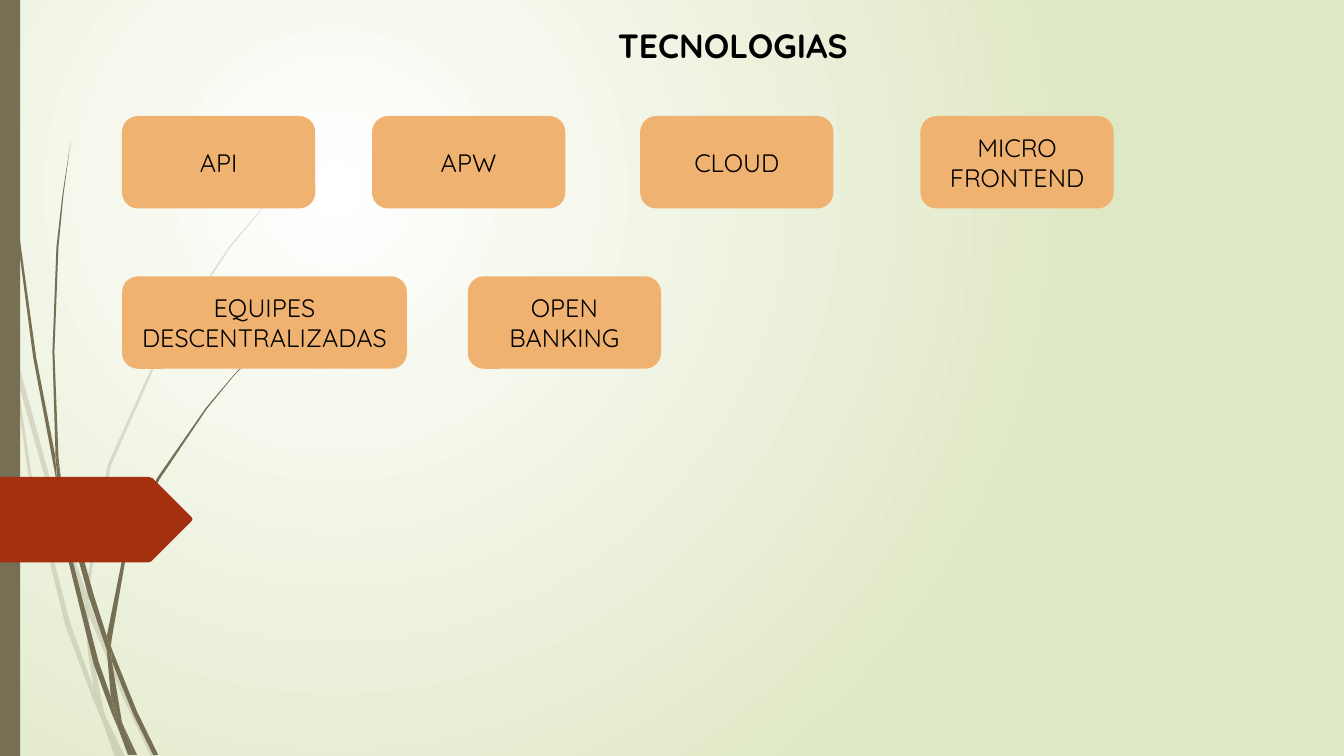
"""Build the TECNOLOGIAS slide: six topic boxes beside a grass ornament."""
from lxml import etree
from pptx import Presentation
from pptx.dml.color import RGBColor
from pptx.enum.shapes import MSO_SHAPE as SHAPE
from pptx.enum.text import MSO_ANCHOR as ANCHOR, MSO_AUTO_SIZE as AUTO, PP_ALIGN as ALIGN
from pptx.oxml.ns import qn
from pptx.util import Pt

COLORS = {"white": "FFFFFF", "sage": "DFE8C4", "olive": "766F54",
          "red": "A53010", "orange": "F0B270", "black": "000000"}
FONT = "Quicksand"
TITLE = "TECNOLOGIAS"
BOX_W, WIDE_W, BOX_H = 136.8, 202.3, 64.8
ROWS = [
    (83.5, [(87.8, BOX_W, "API"), (266.4, BOX_W, "APW"),
            (457.9, BOX_W, "CLOUD"), (658.1, BOX_W, "MICRO\nFRONTEND")]),
    (198, [(87.8, WIDE_W, "EQUIPES\nDESCENTRALIZADAS"), (334.8, BOX_W, "OPEN\nBANKING")]),
]
GRID = 0.72
PALE_BLADES = [
    "11 350, 9 322, 0 282, 0 299, 10 344",
    "58 522, 84 599, 85 586, 62 520, 14 345, 17 376",
    "92 607, 88 596, 88 610, 123 694, 150 751, 155 751, 127 692",
    "119 751, 124 751, 105 711",
    "93 683, 70 619, 31 469, 17 376, 11 350, 28 470, 65 621, 92 693, 101 714, 99 707",
    "84 599, 87 646, 93 683, 96 692, 105 711, 103 706, 91 646, 88 610, 88 608",
    "88 584, 110 462, 160 349, 229 245, 268 198, 290 175, 312 154, 312 153, 289 175, 268 197,"
    "228 244, 158 348, 107 461, 85 584, 85 586, 88 596",
    "101 714, 114 751, 119 751",
    "88 608, 88 610, 88 596, 85 586, 84 599",
    "96 692, 93 683, 99 707, 101 714, 119 751, 105 711",
]
DARK_BLADES = [
    "7 110, 17 233, 33 355, 56 477, 57 481, 55 457, 55 453, 36 355, 19 232, 8 109, 5 48, 4 0, 3 0, 4 48",
    "88 592, 106 645, 106 633, 106 631, 93 590, 60 472, 64 505",
    "113 649, 110 641, 111 656, 132 708, 152 749, 157 749, 136 706",
    "110 691, 98 657, 72 556, 64 505, 57 477, 68 557, 93 659, 111 708, 117 722, 116 717",
    "60 472, 58 453, 54 349, 58 245, 63 193, 70 141, 62 193, 56 245, 52 349, 55 449",
    "133 749, 136 749, 122 719",
    "57 477, 64 505, 60 472, 55 449, 55 453",
    "111 633, 125 552, 158 476, 205 406, 231 374, 245 359, 261 344, 260 344, 245 358, 231 373,"
    "204 405, 156 474, 122 551, 106 631, 110 641",
    "117 722, 127 749, 131 749",
    "106 645, 110 691, 116 706, 122 719, 121 716, 111 656, 109 651",
    "106 645, 109 651, 111 656, 110 641, 106 631, 106 633",
    "116 706, 110 691, 116 717, 117 722, 130 749, 133 749, 122 719",
]
ARROW = "147 558, 150 557, 151 556, 190 517, 191 515, 190 513, 151 474, 150 474, 147 473, 0 473, 0 558"


def rgb(name):
    return RGBColor.from_string(COLORS[name])


def paint(sp, color, alpha=None):
    sp.shadow.inherit = False
    sp.fill.solid()
    sp.fill.fore_color.rgb = rgb(color)
    sp.line.fill.background()
    if alpha:
        clr = sp.element.spPr.find(qn("a:solidFill"))[0]
        etree.SubElement(clr, qn("a:alpha")).set("val", str(alpha * 1000))


def add_outline(shapes, outline, color, alpha=None):
    start, *rest = [tuple(Pt(int(n) * GRID) for n in point.split()) for point in outline.split(",")]
    builder = shapes.build_freeform(*start)
    builder.add_line_segments(rest, close=True)
    paint(builder.convert_to_shape(), color, alpha)


def write(tf, text, align, **font):
    tf.text = text
    for p in tf.paragraphs:
        p.alignment = align
        for r in p.runs:
            r.font.color.rgb = rgb("black")
            for name, value in {"name": FONT, **font}.items():
                setattr(r.font, name, value)


prs = Presentation()
prs.slide_width, prs.slide_height = Pt(960), Pt(540)
slide = prs.slides.add_slide(prs.slide_layouts[6])

fill = slide.background.fill
fill.gradient()
for stop, position, color in zip(fill.gradient_stops, (0, 1), ("white", "sage")):
    stop.position, stop.color.rgb = position, rgb(color)
lin = next(slide.element.iter(qn("a:lin")))
glow = etree.SubElement(lin.getparent(), qn("a:path"), path="circle")
etree.SubElement(glow, qn("a:fillToRect"), l="50000", t="50000", r="100000", b="100000")
lin.getparent().replace(lin, glow)

for blades, alpha in ((PALE_BLADES, 20), (DARK_BLADES, None)):
    group = slide.shapes.add_group_shape()
    for blade in blades:
        add_outline(group.shapes, blade, "olive", alpha)
paint(slide.shapes.add_shape(SHAPE.RECTANGLE, 0, 0, Pt(14.4), Pt(540)), "olive")
add_outline(slide.shapes, ARROW, "red")

tf = slide.shapes.add_textbox(Pt(434.2), Pt(14.4), Pt(184.3), Pt(36)).text_frame
tf.word_wrap, tf.auto_size = True, AUTO.SHAPE_TO_FIT_TEXT
write(tf, TITLE, ALIGN.LEFT, size=Pt(24), bold=True)

for top, boxes in ROWS:
    for left, width, label in boxes:
        sp = slide.shapes.add_shape(SHAPE.ROUNDED_RECTANGLE, Pt(left), Pt(top), Pt(width), Pt(BOX_H))
        paint(sp, "orange")
        sp.line.color.rgb, sp.line.width = rgb("orange"), Pt(1.25)
        sp.text_frame.vertical_anchor = ANCHOR.MIDDLE
        write(sp.text_frame, label, ALIGN.CENTER, size=Pt(18))

prs.save("out.pptx")
